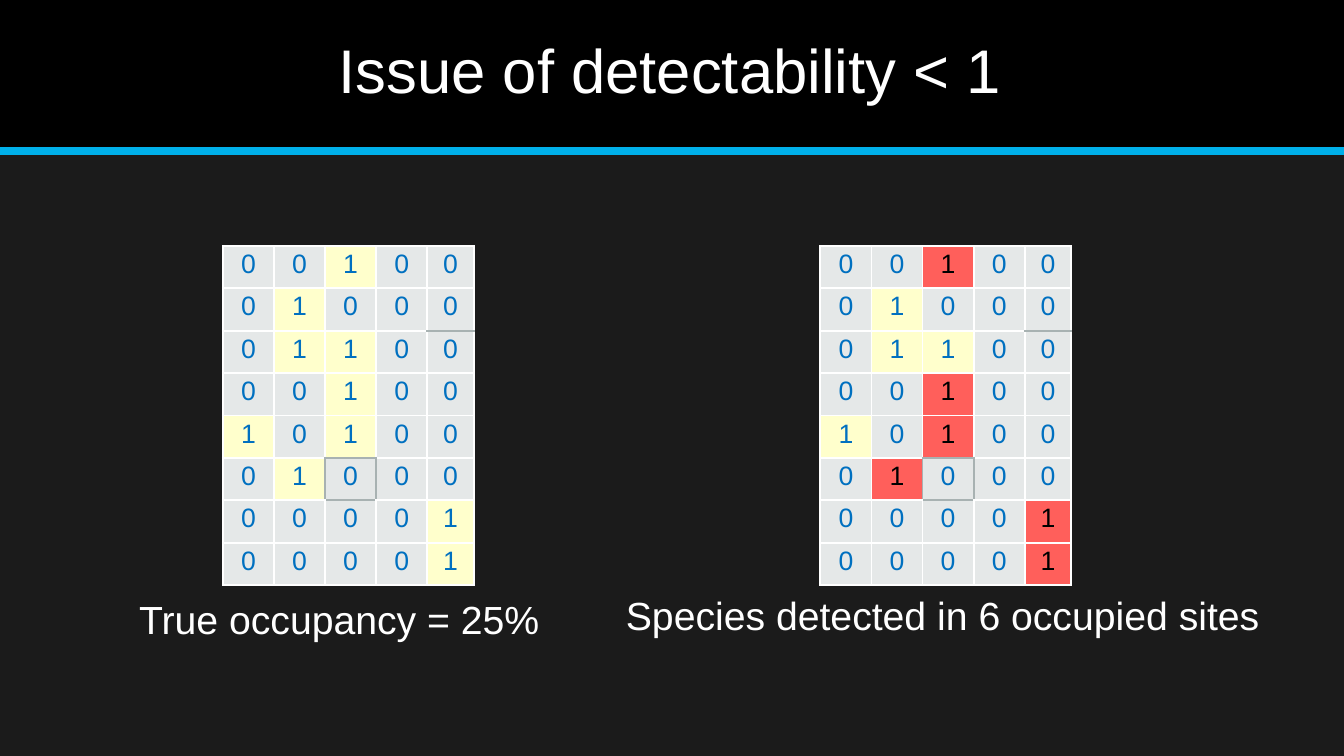
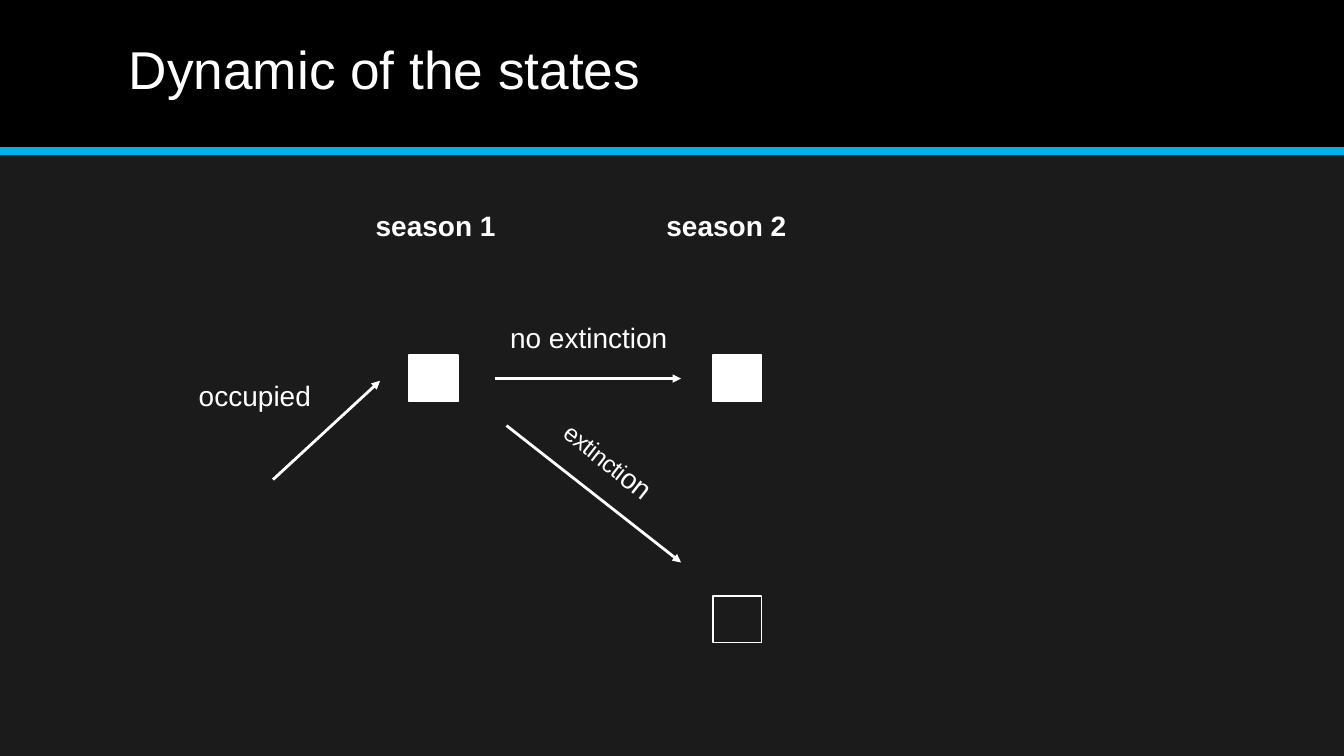
from lxml.etree import SubElement
from pptx import Presentation
from pptx.dml.color import RGBColor
from pptx.enum.shapes import MSO_CONNECTOR as Connector, MSO_SHAPE as Preset
from pptx.enum.text import MSO_ANCHOR as Anchor, MSO_AUTO_SIZE as AutoSize, PP_ALIGN as Align
from pptx.oxml.ns import qn
from pptx.util import Pt

WHITE, BLACK, CHARCOAL, CYAN = "FFFFFF", "000000", "1B1B1B", "00B0EA"
BLUE, GREY, PALE, YELLOW, RED = "0070C0", "A8B2B2", "E5E8E8", "FFFFCC", "FF5F5B"
FONT = "Arial"
SLIDE_WIDTH, SLIDE_HEIGHT = 960, 540

SITES = ["00100", "01000", "01100", "00100", "10100", "01000", "00001", "00001"]
DETECTED = {(0, 2), (3, 2), (4, 2), (5, 1), (6, 4), (7, 4)}
GREY_EDGES = {(1, 4): "B", (2, 4): "T", (4, 2): "B", (5, 1): "R",
              (5, 2): "LRTB", (5, 3): "L", (6, 2): "T"}


def rgb(value):
    return RGBColor.from_string(value)


def paint(fill, color):
    """Fill with a colour, or with nothing when there is none."""
    if color:
        fill.solid()
        fill.fore_color.rgb = rgb(color)
    else:
        fill.background()


def draw_borders(cell, grey_sides):
    properties = cell._tc.get_or_add_tcPr()
    for side in "LRTB":
        edge = SubElement(properties, qn(f"a:ln{side}"), w=str(Pt(1.5)))
        solid = SubElement(edge, qn("a:solidFill"))
        SubElement(solid, qn("a:srgbClr"), val=GREY if side in grey_sides else WHITE)


class Deck:
    """Holds the shared style and the slide being filled."""

    def __init__(self):
        self.prs = Presentation()
        self.prs.slide_width, self.prs.slide_height = Pt(SLIDE_WIDTH), Pt(SLIDE_HEIGHT)
        self.layout = self.prs.slide_layouts[5]
        self.slide = None
        paint(self.prs.slide_master.background.fill, CHARCOAL)

    def add_slide(self, title, left, top, width, height, size):
        first = self.slide is None
        self.slide = self.prs.slides.add_slide(self.layout)
        if first:
            self.add_header_to_layout()
        heading = self.slide.shapes.title
        heading.left, heading.top = Pt(left), Pt(top)
        heading.width, heading.height = Pt(width), Pt(height)
        self.set_text(heading.text_frame, [(title, size)])

    def add_header_to_layout(self):
        """Draw the title band and its rule, then move them to the layout."""
        band = self.box(0, 0, SLIDE_WIDTH, 105, BLACK)
        rule = self.line(0, 108, SLIDE_WIDTH, 108, CYAN, 6)
        for position, part in enumerate((band, rule), start=2):
            self.layout.shapes.element.insert(position, part._element)

    def style(self, font, size, color=WHITE, bold=False):
        font.name, font.size, font.bold = FONT, Pt(size), bold
        font.color.rgb = rgb(color)

    def set_text(self, frame, parts, bold=False, inset=0.7):
        """Fill one paragraph; each part is text, size and further run attributes."""
        frame.word_wrap, frame.auto_size = True, AutoSize.NONE
        frame.vertical_anchor = Anchor.TOP
        frame.margin_left = frame.margin_right = frame.margin_bottom = 0
        frame.margin_top = Pt(inset)
        paragraph = frame.paragraphs[0]
        paragraph.alignment = Align.LEFT
        for text, size, *extra in parts:
            run = paragraph.add_run()
            run.text = text
            self.style(run.font, size, bold=bold)
            for attributes in extra:
                for name, value in attributes.items():
                    run._r.get_or_add_rPr().set(name, value)
        return paragraph

    def label(self, text, left, top, width, height, size=20, bold=False):
        holder = self.slide.shapes.add_textbox(Pt(left), Pt(top), Pt(width), Pt(height))
        self.set_text(holder.text_frame, [(text, size)], bold)

    def slanted_label(self, parts, left, top, width, height, angle):
        holder = self.slide.shapes.add_textbox(Pt(left), Pt(top), Pt(width), Pt(height))
        holder.rotation = angle
        self.set_text(holder.text_frame, parts, inset=0).line_spacing = Pt(20)

    def box(self, left, top, width, height, fill=None, outline=None):
        shape = self.slide.shapes.add_shape(
            Preset.RECTANGLE, Pt(left), Pt(top), Pt(width), Pt(height))
        shape.shadow.inherit = False
        paint(shape.fill, fill)
        paint(shape.line.fill, outline)
        if outline:
            shape.line.width = Pt(1)
        return shape

    def line(self, x1, y1, x2, y2, color=WHITE, weight=2):
        stroke = self.slide.shapes.add_connector(
            Connector.STRAIGHT, Pt(x1), Pt(y1), Pt(x2), Pt(y2))
        stroke.line.color.rgb = rgb(color)
        stroke.line.width = Pt(weight)
        SubElement(stroke._element.spPr, qn("a:effectLst"))
        return stroke

    def arrow(self, x1, y1, x2, y2):
        stroke = self.line(x1, y1, x2, y2)
        SubElement(stroke.line._get_or_add_ln(), qn("a:tailEnd"), type="triangle")

    def site_grid(self, left, top, detected=frozenset()):
        """Show the occupancy of the sites, with detections in red."""
        column_widths = [36.5] * 4 + [33.3]
        row_height = 30.3
        table = self.slide.shapes.add_table(
            len(SITES), len(column_widths), Pt(left), Pt(top),
            Pt(sum(column_widths)), Pt(row_height * len(SITES))).table
        table.first_row = table.horz_banding = False
        for column, width in zip(table.columns, column_widths):
            column.width = Pt(width)
        for r, states in enumerate(SITES):
            table.rows[r].height = Pt(row_height)
            for c, state in enumerate(states):
                cell = table.cell(r, c)
                seen = (r, c) in detected
                draw_borders(cell, GREY_EDGES.get((r, c), ""))
                paint(cell.fill, RED if seen else YELLOW if state == "1" else PALE)
                cell.margin_left = cell.margin_right = cell.margin_bottom = 0
                cell.margin_top = Pt(2.6)
                paragraph = cell.text_frame.paragraphs[0]
                paragraph.alignment = Align.CENTER
                run = paragraph.add_run()
                run.text = state
                self.style(run.font, 19, BLACK if seen else BLUE)


def add_detectability(deck):
    deck.add_slide("Issue of detectability < 1", 242, 22.3, 480, 55, 44)
    deck.site_grid(586, 175.7, DETECTED)
    deck.site_grid(159.2, 175.7)
    deck.label("True occupancy = 25%", 99.4, 424.8, 292, 35, 28)
    deck.label("Species detected in 6 occupied sites", 447.1, 421.9, 460, 35, 28)


def add_dynamics(deck):
    deck.add_slide("Dynamic of the states", 91.9, 25.2, 372, 48, 38)
    season_1, season_2, occupied_top, empty_top = 292.3, 509.2, 253.6, 425.7
    for left, top, fill in ((season_1, occupied_top, WHITE),
                            (season_2, occupied_top, WHITE),
                            (season_2, empty_top, None)):
        deck.box(left, top, 34.8, 33.4, fill, WHITE)
    deck.arrow(353.5, 270.4, 486.5, 270.4)
    deck.arrow(361.8, 304, 486.5, 401.8)
    deck.arrow(195, 342.6, 271.5, 272)
    deck.label("occupied", 142, 269.3, 86, 26)
    deck.label("no extinction", 364.3, 228.3, 118, 26)
    deck.slanted_label(
        [("exti", 30, {"baseline": "3000", "spc": "-40"}),
         ("ncti", 30, {"baseline": "1000", "spc": "-40"}),
         ("on", 20, {"spc": "-30"})], 393.8, 326.2, 87, 20, 38)
    deck.label("season 1", 268.3, 148.3, 90, 26, bold=True)
    deck.label("season 2", 476, 148.3, 90, 26, bold=True)


def main():
    deck = Deck()
    add_detectability(deck)
    add_dynamics(deck)
    deck.prs.save("out.pptx")


if __name__ == "__main__":
    main()
